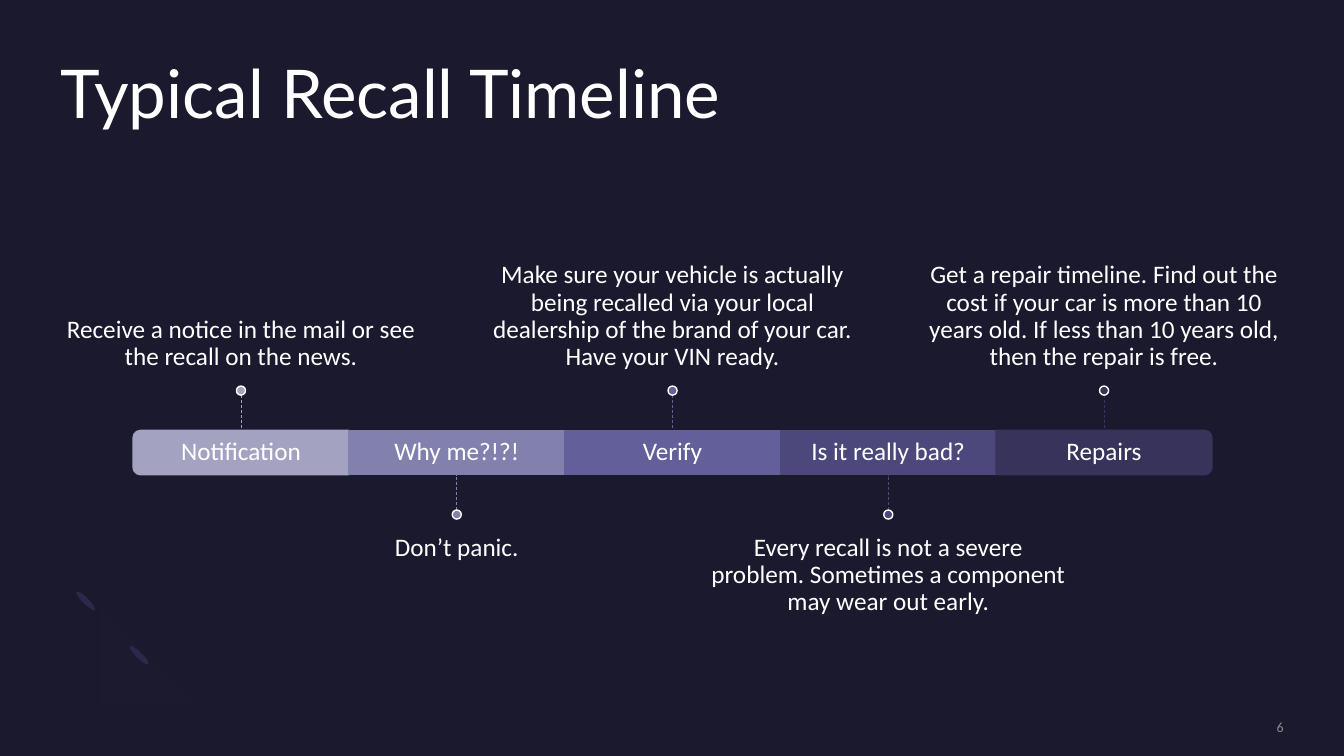
from dataclasses import dataclass

from lxml.etree import SubElement
from pptx import Presentation
from pptx.dml.color import RGBColor
from pptx.enum.dml import MSO_LINE
from pptx.enum.shapes import MSO_CONNECTOR, MSO_SHAPE as Preset
from pptx.enum.text import MSO_ANCHOR as Anchor, PP_ALIGN as Align
from pptx.oxml.ns import qn
from pptx.util import Inches, Pt

WIDTH, HEIGHT = 13.33, 7.5
COLUMN = 2.14
BAR_LEFT, BAR_TOP, BAR_HEIGHT = 1.32, 4.27, 0.44
STEM, DOT = 0.35, 0.09
NOTE_WIDTH, NOTE_HEIGHT = COLUMN * 5 / 3, 1.52
PAD = 0.15
TOP_SIDE, BOTTOM_SIDE = 0, 2


@dataclass(frozen=True)
class Theme:
    background: str = "1B192E"
    text: str = "FFFFFF"
    page_number: str = "8A8A8F"
    petal: str = "2C284A"
    arc: str = "7771B2"
    heading_font: str = "Lato"
    body_font: str = "Calibri"
    title_size: int = 48
    body_size: int = 18
    page_size: int = 10


THEME = Theme()

STEPS = [
    ("Notification", "A3A3C1",
     "Receive a notice in the mail or see the recall on the news."),
    ("Why me?!?!", "8281AE", "Don’t panic."),
    ("Verify", "625F9A",
     "Make sure your vehicle is actually being recalled via your local "
     "dealership of the brand of your car. Have your VIN ready."),
    ("Is it really bad?", "4C487B",
     "Every recall is not a severe problem. Sometimes a component may wear out early."),
    ("Repairs", "37335B",
     "Get a repair timeline. Find out the cost if your car is more than 10 years old. "
     "If less than 10 years old, then the repair is free."),
]


def rgb(value):
    return RGBColor.from_string(value)


def add_text(slide, box, text, size=THEME.body_size, color=THEME.text,
             font=THEME.body_font, align=Align.CENTER, anchor=Anchor.MIDDLE,
             insets=(0, 0, 0, 0), spacing=0.9):
    """Box is left, top, width, height; insets are left, top, right, bottom."""
    frame = slide.shapes.add_textbox(*map(Inches, box)).text_frame
    frame.word_wrap = True
    frame.vertical_anchor = anchor
    (frame.margin_left, frame.margin_top,
     frame.margin_right, frame.margin_bottom) = map(Inches, insets)
    frame.text = text
    paragraph = frame.paragraphs[0]
    paragraph.alignment = align
    paragraph.line_spacing = spacing
    run_font = paragraph.runs[0].font
    run_font.name, run_font.size = font, Pt(size)
    run_font.color.rgb = rgb(color)


def paint(shape, fill, outline=None):
    shape.shadow.inherit = False
    shape.fill.solid()
    shape.fill.fore_color.rgb = rgb(fill)
    if outline:
        shape.line.color.rgb = rgb(outline)
        shape.line.width = Pt(1)
    else:
        shape.line.fill.background()


def add_preset(slide, preset, center, size, fill, outline=None, rotation=0):
    (x, y), (width, height) = center, size
    shape = slide.shapes.add_shape(
        preset, *map(Inches, (x - width / 2, y - height / 2, width, height)))
    shape.rotation = rotation
    paint(shape, fill, outline)
    return shape


def add_segment(slide, index, center_x, color):
    """One part of the bar; the first and last have rounded outer corners."""
    center = (center_x, BAR_TOP + BAR_HEIGHT / 2)
    outer_turn = {0: 270, len(STEPS) - 1: 90}.get(index)
    if outer_turn is None:
        return add_preset(slide, Preset.RECTANGLE, center, (COLUMN, BAR_HEIGHT), color, color)
    return add_preset(slide, Preset.ROUND_2_SAME_RECTANGLE, center,
                      (BAR_HEIGHT, COLUMN), color, color, outer_turn)


def add_stem(slide, segment, x, bar_y, dot_y, color, side):
    stem = slide.shapes.add_connector(
        MSO_CONNECTOR.STRAIGHT, *map(Inches, (x, dot_y, x, bar_y)))
    stem.line.color.rgb = rgb(color)
    stem.line.width = Pt(0.5)
    stem.line.dash_style = MSO_LINE.DASH
    SubElement(stem._element.spPr, qn("a:effectLst"))
    if not segment.rotation:
        stem.end_connect(segment, side)


def add_step(slide, index, name, color, note):
    left = BAR_LEFT + index * COLUMN
    x = left + COLUMN / 2
    above = index % 2 == 0
    if above:
        direction, bar_y, side = -1, BAR_TOP, TOP_SIDE
        anchor, insets = Anchor.BOTTOM, (0, 0, 0, PAD)
    else:
        direction, bar_y, side = 1, BAR_TOP + BAR_HEIGHT, BOTTOM_SIDE
        anchor, insets = Anchor.TOP, (0, PAD, 0, 0)
    dot_y = bar_y + direction * STEM
    note_edge = dot_y + direction * DOT
    note_top = note_edge - NOTE_HEIGHT if above else note_edge

    segment = add_segment(slide, index, x, color)
    add_text(slide, (left, BAR_TOP, COLUMN, BAR_HEIGHT), name, insets=(PAD,) * 4)
    add_text(slide, (x - NOTE_WIDTH / 2, note_top, NOTE_WIDTH, NOTE_HEIGHT), note,
             anchor=anchor, insets=insets)
    add_stem(slide, segment, x, bar_y, dot_y, color, side)
    add_preset(slide, Preset.OVAL, (x, dot_y + direction * DOT / 2), (DOT, DOT),
               color, THEME.text)


def curve(start, pull_out, pull_in, end, steps=12):
    """Points along a cubic curve, without its start."""
    for t in (step / steps for step in range(1, steps + 1)):
        u = 1 - t
        weights = (u ** 3, 3 * u * u * t, 3 * u * t * t, t ** 3)
        yield tuple(sum(w * point[axis] for w, point in
                        zip(weights, (start, pull_out, pull_in, end)))
                    for axis in (0, 1))


def add_ornament(slide):
    for center in ((1.38, 6.5), (0.85, 5.96)):
        add_preset(slide, Preset.OVAL, center, (0.06, 0.26), THEME.petal, rotation=135)
    start = (0.76, 6.59)
    outline = [
        *curve(start, (0.56, 6.39), (0.58, 6.05), (0.81, 5.82)),
        (0.99, 6.0),
        *curve((0.99, 6.0), (0.87, 6.11), (0.86, 6.29), (0.96, 6.38)),
        *curve((0.96, 6.38), (1.06, 6.48), (1.23, 6.47), (1.35, 6.36)),
        (1.52, 6.54),
        *curve((1.52, 6.54), (1.3, 6.76), (0.95, 6.79), start),
    ]
    builder = slide.shapes.build_freeform(*start, scale=Inches(1))
    builder.add_line_segments(outline, close=True)
    arc = builder.convert_to_shape()
    paint(arc, THEME.arc)
    tint = arc._element.spPr.find(qn("a:solidFill"))[0]
    SubElement(tint, qn("a:alpha")).set("val", "1000")


def main():
    deck = Presentation()
    deck.slide_width, deck.slide_height = Inches(WIDTH), Inches(HEIGHT)
    slide = deck.slides.add_slide(deck.slide_layouts[6])
    slide.background.fill.solid()
    slide.background.fill.fore_color.rgb = rgb(THEME.background)

    add_ornament(slide)
    margin = WIDTH * 0.045
    add_text(slide, (margin, HEIGHT * 0.08, WIDTH - 2 * margin, 1.46),
             "Typical Recall Timeline", THEME.title_size, font=THEME.heading_font,
             align=Align.LEFT, anchor=Anchor.TOP)
    for index, step in enumerate(STEPS):
        add_step(slide, index, *step)
    add_text(slide, (WIDTH - margin - 1.85, HEIGHT * 0.95, 1.85, 0.17), "6",
             THEME.page_size, THEME.page_number, align=Align.RIGHT, spacing=1.0)
    deck.save("out.pptx")


if __name__ == "__main__":
    main()
